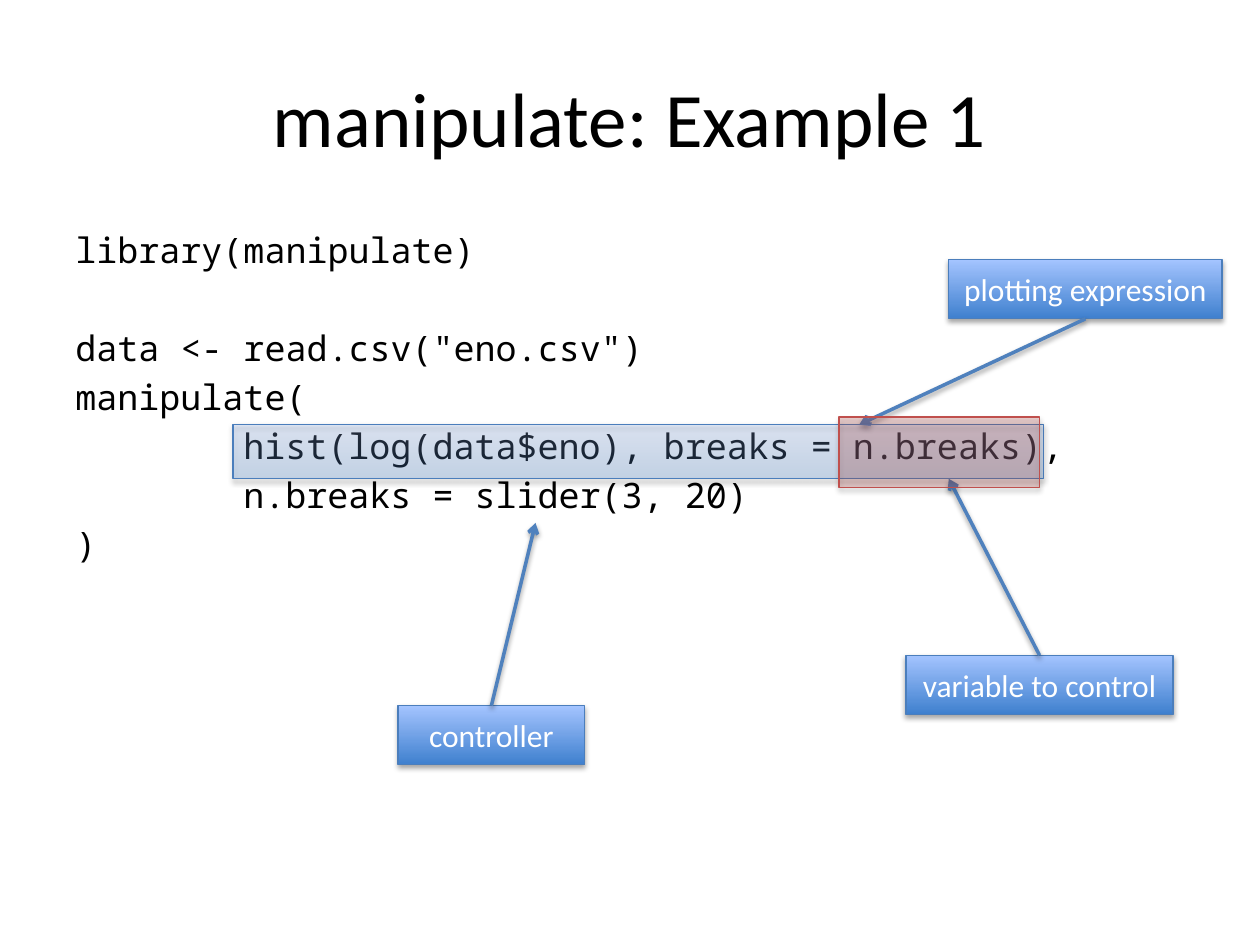
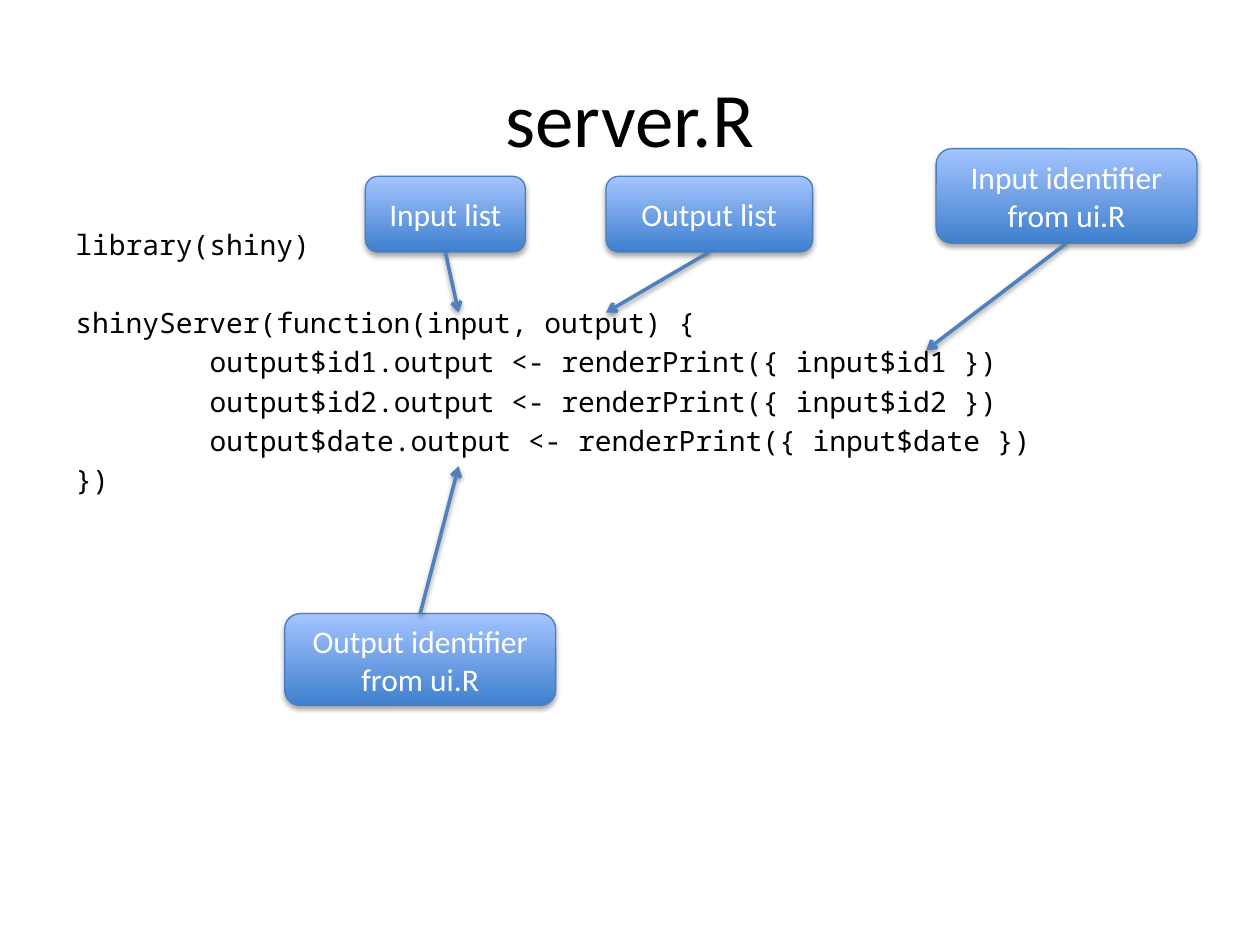
"""Build two slides of annotated R code: boxes with arrows point at parts of the code."""
from dataclasses import dataclass
from typing import Any, Optional

import pptx
import pptx.dml.color
import pptx.enum.shapes
import pptx.enum.text
import pptx.oxml
import pptx.oxml.ns
import pptx.util
from pptx.util import Inches

RGBColor = pptx.dml.color.RGBColor
Shapes = pptx.enum.shapes.MSO_SHAPE
Align = pptx.enum.text.PP_ALIGN
Anchor = pptx.enum.text.MSO_ANCHOR
Pt = pptx.util.Pt

BLACK = RGBColor(0x00, 0x00, 0x00)
WHITE = RGBColor(0xFF, 0xFF, 0xFF)
BLUE_DEEP = RGBColor(0x3F, 0x80, 0xCE)
BLUE_PALE = RGBColor(0xA4, 0xC4, 0xFF)
BLUE_EDGE = RGBColor(0x4B, 0x7E, 0xBC)
BLUE_ARROW = RGBColor(0x4F, 0x81, 0xBD)
RED = RGBColor(0xC0, 0x50, 0x4D)

TITLE_FONT = {"name": "Calibri", "size": Pt(44)}
LABEL_FONT = {"name": "Calibri", "size": Pt(18)}
CODE_FONT = "Noto Sans Mono"
CODE_PITCH = 1.4  # line distance as a multiple of the type size
CODE_INDENT = 8 * 0.6  # eight monospaced characters, in ems
HIGHLIGHT_OPACITY = 23

Rect = tuple[float, float, float, float]
TITLE_AREA: Rect = (0.5, 0.3, 9, 1.25)
CODE_AREA: Rect = (0.5, 1.75, 9, 4.95)


@dataclass
class CodeLine:
    """One line of code, optionally indented or set off by a gap above."""
    text: str
    indented: bool = False
    gap: bool = False


@dataclass
class Callout:
    """A labelled box and the point its arrow leads to."""
    label: str
    area: Rect
    target: tuple[float, float]


@dataclass
class Highlight:
    """A translucent band over code; a plain colour replaces the blue gradient."""
    area: Rect
    color: Optional[RGBColor] = None


@dataclass
class CodePage:
    """All content of one slide."""
    title: str
    code_size: int
    code: list[CodeLine]
    callout_shape: Any
    callouts: list[Callout]
    highlights: list[Highlight]


PAGES = [
    CodePage(
        "manipulate: Example 1", 20,
        [
            CodeLine("library(manipulate)"),
            CodeLine('data <- read.csv("eno.csv")', gap=True),
            CodeLine("manipulate("),
            CodeLine("hist(log(data$eno), breaks = n.breaks),", indented=True),
            CodeLine("n.breaks = slider(3, 20)", indented=True),
            CodeLine(")"),
        ],
        Shapes.RECTANGLE,
        [
            Callout("plotting expression", (7.53, 2.06, 2.17, 0.47), (6.82, 3.37)),
            Callout("controller", (3.16, 5.6, 1.48, 0.47), (4.25, 4.15)),
            Callout("variable to control", (7.19, 5.2, 2.12, 0.47), (7.53, 3.8)),
        ],
        [
            Highlight((1.85, 3.37, 6.43, 0.43)),
            Highlight((6.66, 3.31, 1.59, 0.56), RED),
        ],
    ),
    CodePage(
        "server.R", 16,
        [
            CodeLine("library(shiny)"),
            CodeLine("shinyServer(function(input, output) {", gap=True),
            CodeLine("output$id1.output <- renderPrint({ input$id1 })", indented=True),
            CodeLine("output$id2.output <- renderPrint({ input$id2 })", indented=True),
            CodeLine("output$date.output <- renderPrint({ input$date })", indented=True),
            CodeLine("})"),
        ],
        Shapes.ROUNDED_RECTANGLE,
        [
            Callout("Input identifier from ui.R", (7.43, 1.18, 2.07, 0.75), (7.35, 2.78)),
            Callout("Output identifier from ui.R", (2.26, 4.87, 2.15, 0.73), (3.64, 3.7)),
            Callout("Input list", (2.9, 1.4, 1.27, 0.6), (3.64, 2.48)),
            Callout("Output list", (4.81, 1.4, 1.64, 0.6), (4.81, 2.48)),
        ],
        [],
    ),
]


def apply_format(target: Any, values: dict[str, Any]) -> None:
    """Set each named attribute on the target."""
    for name, value in values.items():
        setattr(target, name, value)


def inches(area: Rect) -> list[int]:
    """Turn left, top, width and height into lengths."""
    return [Inches(value) for value in area]


def write_span(para: Any, text: str, font: dict[str, Any], color: RGBColor) -> None:
    """Add a run of formatted text to a paragraph."""
    span = para.add_run()
    span.text = text
    apply_format(span.font, font)
    span.font.color.rgb = color


def add_shadow(item: Any, opacity: int, distance: float) -> None:
    """Give a shape or connector a soft shadow straight below it."""
    properties = item.element.spPr
    for old in properties.findall(pptx.oxml.ns.qn("a:effectLst")):
        properties.remove(old)
    properties.append(pptx.oxml.parse_xml(
        f'<a:effectLst {pptx.oxml.ns.nsdecls("a")}>'
        f'<a:outerShdw blurRad="{Pt(3.1)}" dist="{Pt(distance)}" dir="5400000" rotWithShape="0">'
        f'<a:srgbClr val="{BLACK}"><a:alpha val="{opacity * 1000}"/></a:srgbClr>'
        '</a:outerShdw></a:effectLst>'))


def set_opacity(shape: Any, percent: int) -> None:
    """Make every fill colour translucent; call before the line is set."""
    for color in shape.element.spPr.iter(pptx.oxml.ns.qn("a:srgbClr")):
        color.append(pptx.oxml.parse_xml(
            f'<a:alpha {pptx.oxml.ns.nsdecls("a")} val="{percent * 1000}"/>'))


def add_panel(page: Any, kind: Any, area: Rect, color: Optional[RGBColor] = None,
              opacity: int = 100) -> Any:
    """Draw a shadowed shape, plain if a colour is given, else with the blue gradient."""
    shape = page.shapes.add_shape(kind, *inches(area))
    shape.shadow.inherit = False
    if color is None:
        shape.fill.gradient()
        shape.fill.gradient_angle = 90
        for stop, stop_color in zip(shape.fill.gradient_stops, (BLUE_DEEP, BLUE_PALE)):
            stop.color.rgb = stop_color
    else:
        shape.fill.solid()
        shape.fill.fore_color.rgb = color
    if opacity < 100:
        set_opacity(shape, opacity)
    shape.line.color.rgb = color or BLUE_EDGE
    shape.line.width = Pt(0.75)
    add_shadow(shape, 35, 1.8)
    return shape


def add_arrow(page: Any, start: tuple[float, float], end: tuple[float, float]) -> None:
    """Draw a straight arrow from start to end."""
    arrow = page.shapes.add_connector(
        pptx.enum.shapes.MSO_CONNECTOR.STRAIGHT, *[Inches(value) for value in start + end])
    arrow.line.color.rgb = BLUE_ARROW
    arrow.line.width = Pt(2)
    arrow.line._get_or_add_ln().append(pptx.oxml.parse_xml(
        f'<a:tailEnd {pptx.oxml.ns.nsdecls("a")} type="arrow"/>'))
    add_shadow(arrow, 38, 1.6)


def add_callout(page: Any, kind: Any, callout: Callout) -> None:
    """Draw a labelled box with an arrow from its near edge to the target."""
    left, top, width, height = callout.area
    box = add_panel(page, kind, callout.area)
    apply_format(box.text_frame, {"word_wrap": True, "vertical_anchor": Anchor.MIDDLE})
    para = box.text_frame.paragraphs[0]
    para.alignment = Align.CENTER
    write_span(para, callout.label, LABEL_FONT, WHITE)
    edge = top + height if callout.target[1] > top else top
    add_arrow(page, (left + width / 2, edge), callout.target)


def add_title(page: Any, text: str) -> None:
    """Write the centred slide title."""
    frame = page.shapes.add_textbox(*inches(TITLE_AREA)).text_frame
    apply_format(frame, {"word_wrap": True, "vertical_anchor": Anchor.MIDDLE})
    para = frame.paragraphs[0]
    para.alignment = Align.CENTER
    write_span(para, text, TITLE_FONT, BLACK)


def add_code(page: Any, lines: list[CodeLine], size: int) -> None:
    """Write the code block on an even line pitch."""
    frame = page.shapes.add_textbox(*inches(CODE_AREA)).text_frame
    apply_format(frame, {"word_wrap": True, "margin_top": Inches(0.01)})
    pitch = Pt(size * CODE_PITCH)
    for index, line in enumerate(lines):
        para = frame.add_paragraph() if index else frame.paragraphs[0]
        apply_format(para, {"line_spacing": pitch, "space_before": pitch if line.gap else Pt(0)})
        if line.indented:
            para._p.get_or_add_pPr().set("marL", str(Pt(size * CODE_INDENT)))
        write_span(para, line.text, {"name": CODE_FONT, "size": Pt(size)}, BLACK)


def build_page(deck: Any, content: CodePage) -> None:
    """Add one slide with title, code, callouts and highlights."""
    page = deck.slides.add_slide(deck.slide_layouts[6])
    add_title(page, content.title)
    add_code(page, content.code, content.code_size)
    for callout in content.callouts:
        add_callout(page, content.callout_shape, callout)
    for highlight in content.highlights:
        add_panel(page, Shapes.RECTANGLE, highlight.area, highlight.color, HIGHLIGHT_OPACITY)


deck = pptx.Presentation()
apply_format(deck, {"slide_width": Inches(10), "slide_height": Inches(7.5)})
for page_content in PAGES:
    build_page(deck, page_content)
deck.save("out.pptx")
